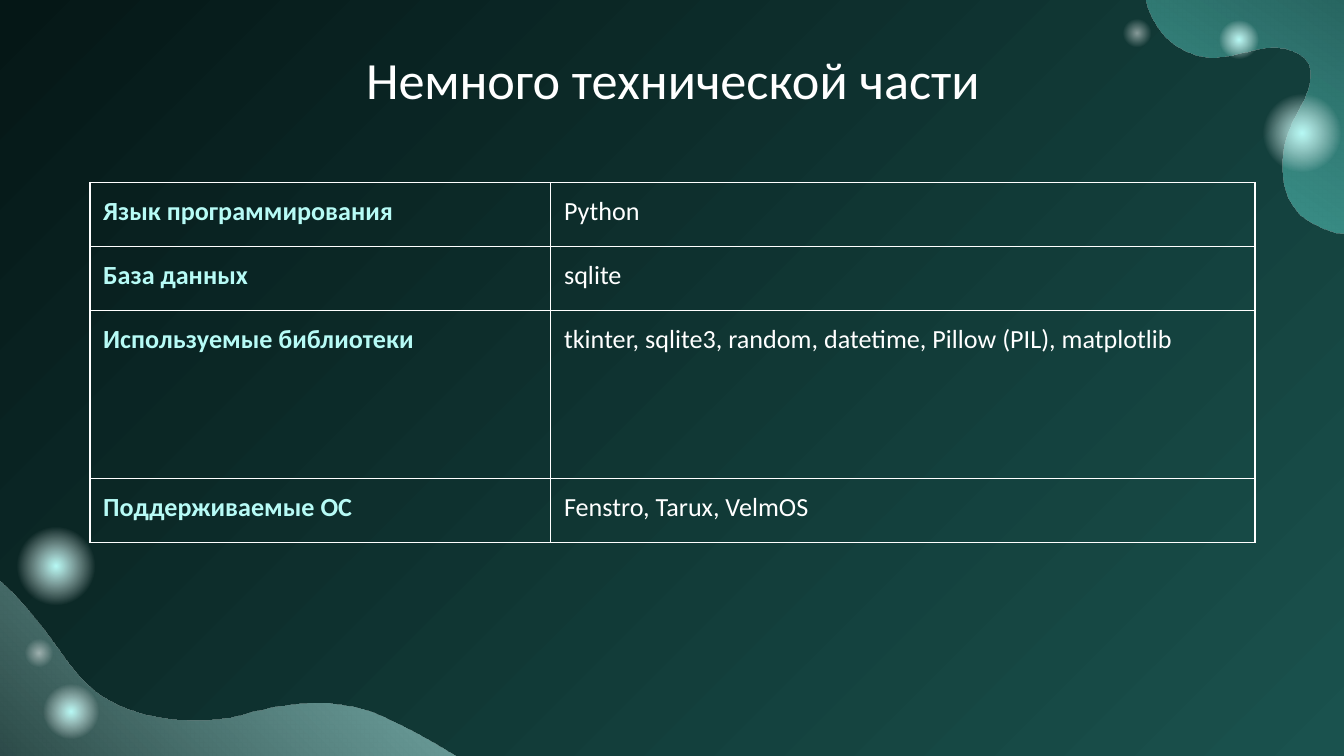
from dataclasses import dataclass

from lxml import etree
from pptx import Presentation
from pptx import util as u
from pptx.dml.color import RGBColor
from pptx.enum import shapes, text
from pptx.oxml import ns

Cm = u.Cm


@dataclass(frozen=True)
class Theme:
    font: str = "Calibri"
    white: str = "FFFFFF"
    mint: str = "B7FBF6"
    aqua: str = "63E6DB"
    night: str = "051716"
    teal: str = "1A524E"
    title: int = 28
    body: int = 14


THEME = Theme()
INCH = 2.54
PAGE = (25.4, 14.29)

# Each curve piece: two control points and an end point, in inches.
CORNER_START = (8.28, -0.9)
CORNER_CURVES = [
    (8.35, -0.84, 8.42, -0.76, 8.45, -0.68), (8.5, -0.56, 8.5, -0.43, 8.5, -0.29),
    (8.5, -0.2, 8.5, -0.11, 8.52, -0.02), (8.57, 0.21, 8.72, 0.37, 8.94, 0.42),
    (9.17, 0.47, 9.39, 0.29, 9.62, 0.38), (9.88, 0.48, 9.69, 0.76, 9.61, 0.92),
    (9.52, 1.11, 9.5, 1.4, 9.65, 1.57), (9.72, 1.65, 9.84, 1.7, 9.94, 1.73),
    (10.06, 1.75, 10.18, 1.72, 10.3, 1.74), (10.4, 1.75, 10.54, 1.8, 10.61, 1.89),
    (10.68, 1.99, 10.71, 2.11, 10.75, 2.22), (10.91, 2.66, 11.3, 3.05, 11.78, 3.14),
    (11.84, 3.15, 11.93, 3.16, 11.99, 3.14),
]
CORNER_EDGE = [(10.93, -1.81), (7.92, -1.09)]
WAVE_START = (-1.1, 3.9)
WAVE_CURVES = [
    (-0.82, 3.9, -0.51, 4.02, -0.29, 4.13), (-0.01, 4.28, 0.15, 4.46, 0.33, 4.69),
    (0.48, 4.89, 0.6, 5.11, 0.85, 5.23), (1.11, 5.36, 1.5, 5.39, 1.79, 5.32),
    (2.1, 5.23, 2.47, 5.18, 2.78, 5.3), (3.09, 5.43, 3.39, 5.62, 3.67, 5.79),
    (3.85, 5.91, 4.03, 6.03, 4.2, 6.17),
]
WAVE_EDGE = [(-1.29, 6.17), (-1.3, 3.93)]

# Left, top and diameter in centimetres.
MINT_GLOWS = [(0.15, 9.78, 1.83), (0.69, 12.8, 1.3), (22.96, 0.3, 0.91), (23.7, 1.6, 1.83)]
PALE_GLOWS = [(0.41, 12.01, 0.66), (21.16, 0.3, 0.66)]

ROWS = [
    ("Язык программирования", "Python", 1.21),
    ("База данных", "sqlite", 1.21),
    ("Используемые библиотеки",
     "tkinter, sqlite3, random, datetime, Pillow (PIL), matplotlib", 3.18),
    ("Поддерживаемые ОС", "Fenstro, Tarux, VelmOS", 1.21),
]
COLUMNS = (8.71, 13.31)


def child(parent, tag, **attributes):
    values = {name: str(value) for name, value in attributes.items()}
    return etree.SubElement(parent, ns.qn(tag), values)


def paint(fill, holder, stops, angle=None):
    """Gradient of (position, colour, opacity) stops; radial without an angle."""
    fill.gradient()
    gradient = next(holder.iter(ns.qn("a:gradFill")))
    for part in list(gradient):
        gradient.remove(part)
    stop_list = child(gradient, "a:gsLst")
    for position, colour, opacity in stops:
        stop = child(stop_list, "a:gs", pos=position * 1000)
        tint = child(stop, "a:srgbClr", val=colour)
        if opacity < 100:
            child(tint, "a:alpha", val=opacity * 1000)
    if angle is None:
        circle = child(gradient, "a:path", path="circle")
        child(circle, "a:fillToRect", l=50000, t=50000, r=50000, b=50000)
    else:
        child(gradient, "a:lin", ang=angle * 60000, scaled=0)


def decorate(shape, stops, angle=None):
    shape.shadow.inherit = False
    shape.line.fill.background()
    paint(shape.fill, shape._element.spPr, stops, angle)


def trace(start, curves, steps=12):
    """Points along a chain of cubic curves."""
    x0, y0 = start
    for x1, y1, x2, y2, x3, y3 in curves:
        for step in range(1, steps + 1):
            t = step / steps
            a, b, c, d = (1 - t) ** 3, 3 * t * (1 - t) ** 2, 3 * t * t * (1 - t), t ** 3
            yield a * x0 + b * x1 + c * x2 + d * x3, a * y0 + b * y1 + c * y2 + d * y3
        x0, y0 = x3, y3


def add_blob(page, start, curves, edge, colour, angle):
    points = [start, *trace(start, curves), *edge]
    (first_x, first_y), *rest = [(Cm(x * INCH), Cm(y * INCH)) for x, y in points]
    builder = page.shapes.build_freeform(first_x, first_y)
    builder.add_line_segments(rest, close=True)
    decorate(builder.convert_to_shape(),
             [(0, THEME.night, 100), (100, colour, 70)], angle)


def add_glow(page, box, colour, opacity):
    left, top, size = map(Cm, box)
    glow = page.shapes.add_shape(shapes.MSO_SHAPE.OVAL, left, top, size, size)
    decorate(glow, [(0, colour, opacity), (57, THEME.white, 0), (100, THEME.white, 0)])


def add_backdrop(page):
    paint(page.background.fill, page._element,
          [(0, THEME.night, 100), (100, THEME.teal, 100)], 45)
    add_blob(page, CORNER_START, CORNER_CURVES, CORNER_EDGE, THEME.aqua, 123)
    add_blob(page, WAVE_START, WAVE_CURVES, WAVE_EDGE, THEME.mint, 315)
    for box in MINT_GLOWS:
        add_glow(page, box, THEME.mint, 100)
    for box in PALE_GLOWS:
        add_glow(page, box, THEME.white, 50)


def write(para, words, size, colour, bold=False):
    span = para.add_run()
    span.text = words
    span.font.name = THEME.font
    span.font.size = u.Pt(size)
    span.font.bold = bold
    span.font.color.rgb = RGBColor.from_string(colour)


def set_margins(target):
    for side in ("left", "top", "right", "bottom"):
        setattr(target, f"margin_{side}", Cm(0.25))


def add_title(page, box):
    frame = page.shapes.add_textbox(*map(Cm, box)).text_frame
    frame.word_wrap = True
    frame.vertical_anchor = text.MSO_ANCHOR.TOP
    set_margins(frame)
    para = frame.paragraphs[0]
    para.alignment = text.PP_ALIGN.CENTER
    write(para, "Немного технической части", THEME.title, THEME.white)


def style_cell(cell):
    set_margins(cell)
    properties = cell._tc.get_or_add_tcPr()
    for side in "LRTB":
        line = child(properties, f"a:ln{side}", w=u.Pt(0.75))
        child(child(line, "a:solidFill"), "a:srgbClr", val=THEME.white)
    cell.fill.background()


def add_facts(page, left, top):
    height = sum(row[-1] for row in ROWS)
    table = page.shapes.add_table(len(ROWS), len(COLUMNS), Cm(left), Cm(top),
                                  Cm(sum(COLUMNS)), Cm(height)).table
    table.first_row = table.horz_banding = False
    for column, width in zip(table.columns, COLUMNS):
        column.width = Cm(width)
    for row, (label, value, row_height) in zip(table.rows, ROWS):
        row.height = Cm(row_height)
        for cell in row.cells:
            style_cell(cell)
        label_para, value_para = (cell.text_frame.paragraphs[0] for cell in row.cells)
        write(label_para, label, THEME.body, THEME.mint, bold=True)
        write(value_para, value, THEME.body, THEME.white)
        value_para.space_after = u.Pt(16)


def main():
    deck = Presentation()
    deck.slide_width, deck.slide_height = map(Cm, PAGE)
    page = deck.slides.add_slide(deck.slide_layouts[6])
    add_backdrop(page)
    add_title(page, (2.01, 0.64, 21.41, 1.6))
    add_facts(page, 1.7, 3.45)
    deck.save("out.pptx")


if __name__ == "__main__":
    main()
